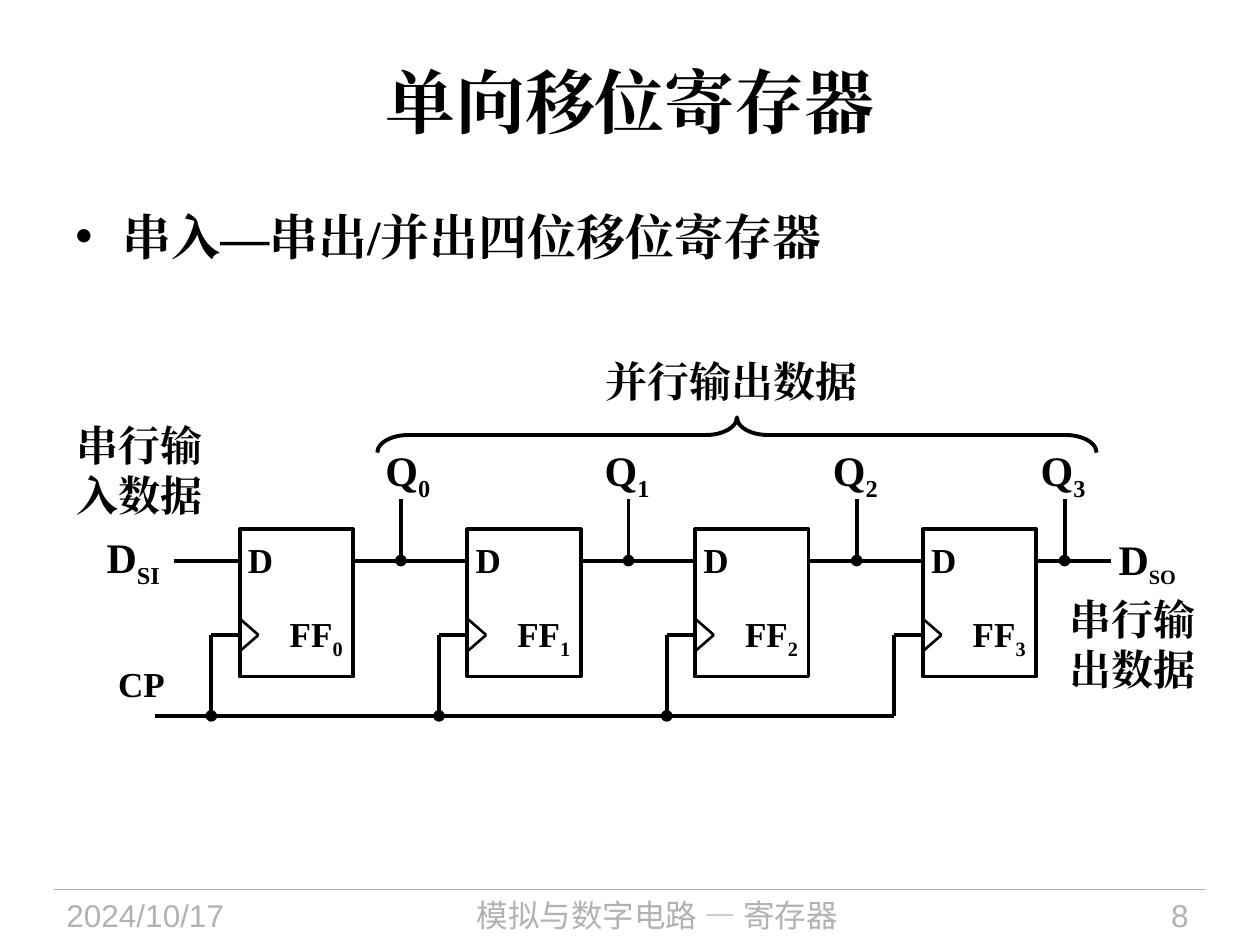
from itertools import pairwise

from lxml import etree
from pptx import Presentation
from pptx.dml.color import RGBColor
from pptx.enum import shapes, text
from pptx.oxml.ns import qn
from pptx.util import Cm, Pt

COLORS = {"ink": "000000", "footer": "B2B2B2"}
SERIF = "Times New Roman"
SANS = "Arial"
CJK = "Noto Sans CJK SC"
ALIGN = text.PP_ALIGN


class Diagram:
    def __init__(self, slide, font=SERIF, weight=2.25):
        self.shapes = slide.shapes
        self.font = font
        self.weight = weight

    def color(self, name):
        return RGBColor.from_string(COLORS[name])

    def stroke(self, line, color="ink", weight=None):
        line.color.rgb = self.color(color)
        line.width = Pt(weight or self.weight)

    def shape(self, kind, x, y, w, h):
        sp = self.shapes.add_shape(kind, Cm(x), Cm(y), Cm(w), Cm(h))
        sp.shadow.inherit = False
        sp.fill.background()
        self.stroke(sp.line)
        return sp

    def wire(self, *points, color="ink", weight=None, dot=False):
        for (x1, y1), (x2, y2) in pairwise(points):
            cx = self.shapes.add_connector(
                shapes.MSO_CONNECTOR.STRAIGHT, Cm(x1), Cm(y1), Cm(x2), Cm(y2))
            self.stroke(cx.line, color, weight)
            etree.SubElement(cx._element.spPr, qn("a:effectLst"))
            if dot:
                ln = cx.line._get_or_add_ln()
                etree.SubElement(ln, qn("a:headEnd"), type="oval")
                dot = False

    def label(self, x, y, w, h, words, size, sub="", sub_size=None, font=None,
              color="ink", bold=True, align=ALIGN.LEFT, wrap=True):
        tf = self.shapes.add_textbox(Cm(x), Cm(y), Cm(w), Cm(h)).text_frame
        tf.word_wrap = wrap
        p = tf.paragraphs[0]
        p.alignment = align
        self.run(p, words, size, font, color, bold)
        if sub:
            r = self.run(p, sub, sub_size or size, font, color, bold)
            r.font._element.set("baseline", "-25000")
        return tf

    def run(self, p, words, size, font, color, bold):
        r = p.add_run()
        r.text = words
        r.font.size = Pt(size)
        r.font.bold = bold
        r.font.name = font or self.font
        r.font.color.rgb = self.color(color)
        etree.SubElement(r.font._element, qn("a:ea"), typeface=font or self.font)
        return r

    def bullet(self, tf, indent):
        pPr = tf.paragraphs[0]._p.get_or_add_pPr()
        pPr.set("marL", str(Cm(indent)))
        pPr.set("indent", str(-Cm(indent)))
        etree.SubElement(pPr, qn("a:buFont"), typeface=SANS)
        etree.SubElement(pPr, qn("a:buChar"), char="•")


def add_footer(d):
    top, height = 17.93, 1.12
    d.wire((1.09, top), (24.31, top), color="footer", weight=0.75)
    for x, w, words, font, align in (
            (1.09, 4.78, "2024/10/17", SANS, ALIGN.LEFT),
            (6.1, 14.3, "模拟与数字电路 — 寄存器", CJK, ALIGN.CENTER),
            (20.83, 3.38, "8", SANS, ALIGN.RIGHT)):
        d.label(x, top, w, height, words, 18, font=font, color="footer",
                bold=False, align=align)


def add_register(d):
    left, top, width, height, pitch = 4.83, 10.67, 2.29, 2.97, 4.59
    data_y, clock_y, bus_y, tap_y = 11.3, 12.8, 14.43, 10.06
    lead, notch_w, notch_h = 0.57, 0.38, 0.33
    taps = (8.08, 12.67, 17.27, 21.46)
    names = (7.52, 11.94, 16.54, 20.73)
    last = len(taps) - 1

    d.wire((3.51, data_y), (left, data_y))
    d.wire((3.12, bus_y), (left + last * pitch - lead, bus_y))
    for i, (tap, name) in enumerate(zip(taps, names)):
        x = left + i * pitch
        out = x + pitch if i < last else 22.4
        d.shape(shapes.MSO_SHAPE.RECTANGLE, x, top, width, height)
        d.wire((x + width, data_y), (out, data_y))
        d.wire((x - lead, bus_y), (x - lead, clock_y), (x, clock_y), dot=i < last)
        d.wire((x, clock_y - notch_h), (x + notch_w, clock_y),
               (x, clock_y + notch_h), weight=1.5)
        d.wire((tap, data_y), (tap, tap_y), dot=True)
        d.label(x - 0.08, 10.74, 1.02, 1.09, "D", 20, wrap=False)
        d.label(x + 0.76, 12.22, 1.6, 1.09, "FF", 20, str(i), wrap=False)
        d.label(name, 8.84, 1.45, 1.27, "Q", 24, str(i), wrap=False)


def add_signals(d):
    d.label(1.9, 10.59, 1.65, 1.27, "D", 24, "SI", wrap=False)
    d.label(2.13, 13.23, 1.45, 1.09, "CP", 20, wrap=False)
    tf = d.label(22.3, 10.52, 1.91, 1.5, "D", 24, "SO", 20)
    tf.paragraphs[0].line_spacing = 1.1
    d.label(1.3, 8.33, 3.2, 2.29, "串行输入数据", 24)
    d.label(21.31, 11.84, 3.2, 2.29, "串行输出数据", 24)
    d.label(11.91, 7.04, 5.69, 1.27, "并行输出数据", 24, align=ALIGN.CENTER)
    brace = d.shape(shapes.MSO_SHAPE.LEFT_BRACE, 14.5, 1.52, 0.71, 14.5)
    brace.rotation = 90
    brace.adjustments[0] = 0.88


def main():
    prs = Presentation()
    prs.slide_width, prs.slide_height = Cm(25.4), Cm(19.05)
    d = Diagram(prs.slides.add_slide(prs.slide_layouts[6]))
    add_footer(d)
    title = d.label(1.27, 0.43, 22.86, 3.18, "单向移位寄存器", 40, align=ALIGN.CENTER)
    title.vertical_anchor = text.MSO_ANCHOR.MIDDLE
    body = d.label(1.27, 4.04, 22.86, 2.87, "串入—串出/并出四位移位寄存器", 28)
    d.bullet(body, 0.95)
    add_register(d)
    add_signals(d)
    prs.save("out.pptx")


if __name__ == "__main__":
    main()
